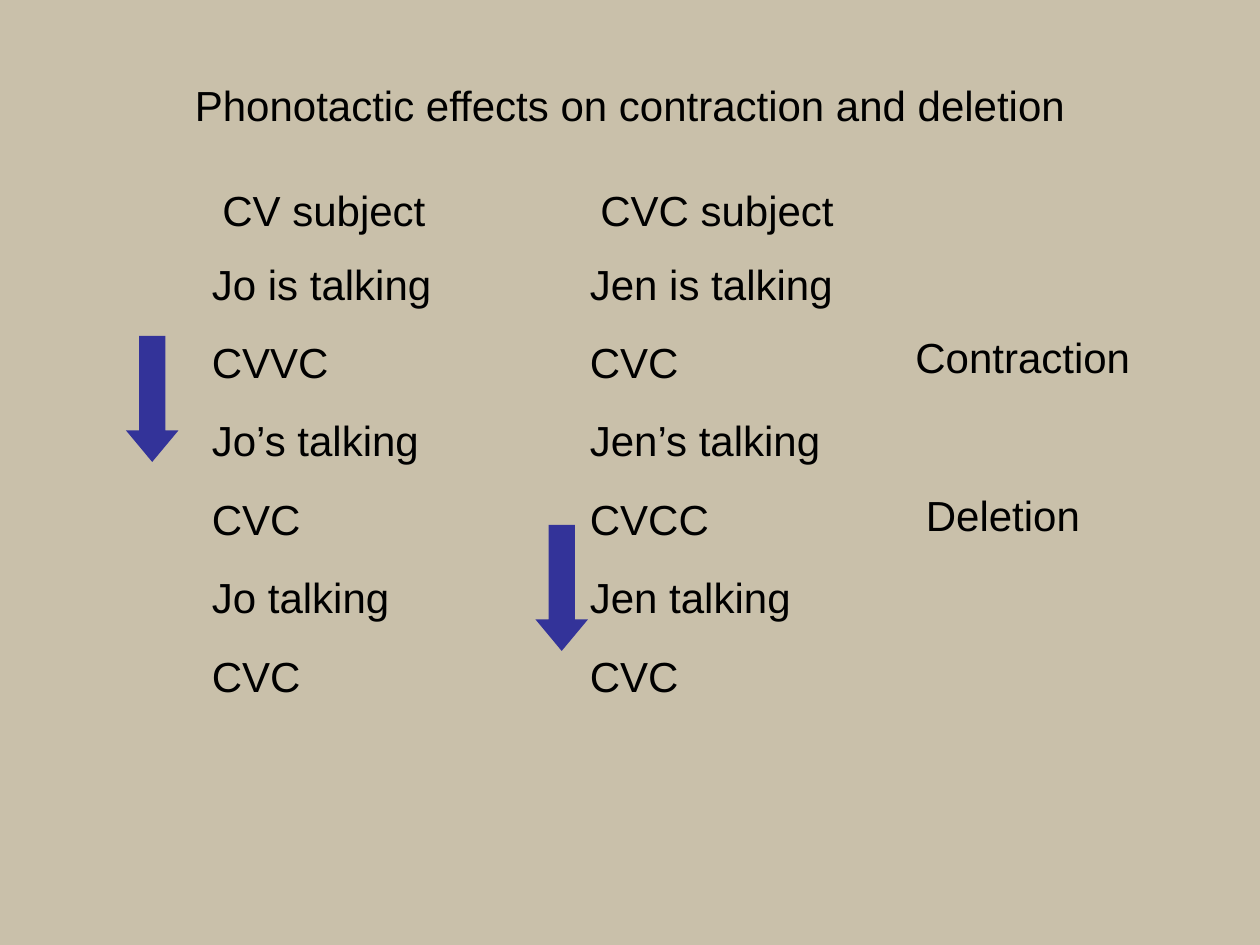
"""Build the slide on phonotactic effects on contraction and deletion."""
from dataclasses import dataclass

from lxml.etree import SubElement
from pptx import Presentation
from pptx.dml.color import RGBColor
from pptx.enum.shapes import MSO_SHAPE
from pptx.enum.text import MSO_ANCHOR, PP_ALIGN
from pptx.oxml.ns import qn
from pptx.slide import Slide
from pptx.text.text import _Paragraph
from pptx.util import Inches, Pt


@dataclass(frozen=True)
class Theme:
    background: RGBColor = RGBColor(0xC9, 0xC0, 0xAA)
    text: RGBColor = RGBColor(0, 0, 0)
    arrow: RGBColor = RGBColor(0x33, 0x33, 0x99)
    font: str = "Arial"
    size: Pt = Pt(24)
    gap: Pt = Pt(16)
    tab: Inches = Inches(3)


@dataclass(frozen=True)
class Box:
    col: int
    row: int
    cols: int
    rows: int

    def place(self) -> tuple[int, int, int, int]:
        return tuple(n * CELL for n in (self.col, self.row, self.cols, self.rows))


@dataclass(frozen=True)
class TextBlock:
    box: Box
    lines: tuple[str, ...]


THEME = Theme()
CELL = Inches(1) // 12
TITLE = TextBlock(Box(9, 4, 102, 12), ("Phonotactic effects on contraction and deletion",))
BLOCKS = (
    TextBlock(Box(20, 17, 78, 6), ("CV subject\tCVC subject",)),
    TextBlock(
        Box(19, 24, 90, 42),
        (
            "Jo is talking\tJen is talking",
            "CVVC\tCVC",
            "Jo’s talking\tJen’s talking",
            "CVC\tCVCC",
            "Jo talking\tJen talking",
            "CVC\tCVC",
        ),
    ),
    TextBlock(Box(86, 31, 31, 6), ("Contraction",)),
    TextBlock(Box(87, 46, 31, 6), ("Deletion",)),
)
ARROWS = (Box(12, 32, 5, 12), Box(51, 50, 5, 12))


def set_font(p: _Paragraph) -> None:
    p.font.name = THEME.font
    p.font.size = THEME.size
    p.font.color.rgb = THEME.text


def add_tab(p: _Paragraph) -> None:
    tabs = SubElement(p._p.get_or_add_pPr(), qn("a:tabLst"))
    SubElement(tabs, qn("a:tab"), pos=str(int(THEME.tab)), algn="l")


def set_title(s: Slide, title: TextBlock) -> None:
    sp = s.shapes.title
    sp.left, sp.top, sp.width, sp.height = title.box.place()
    tf = sp.text_frame
    tf.text = title.lines[0]
    tf.vertical_anchor = MSO_ANCHOR.MIDDLE
    p = tf.paragraphs[0]
    p.alignment = PP_ALIGN.CENTER
    set_font(p)


def add_text(s: Slide, block: TextBlock) -> None:
    tf = s.shapes.add_textbox(*block.box.place()).text_frame
    tf.word_wrap = True
    for i, line in enumerate(block.lines):
        p = tf.add_paragraph() if i else tf.paragraphs[0]
        r = p.add_run()
        r.text = line
        if i:
            p.space_before = THEME.gap
        if "\t" in line:
            add_tab(p)
        set_font(p)


def add_arrow(s: Slide, box: Box) -> None:
    sp = s.shapes.add_shape(MSO_SHAPE.DOWN_ARROW, *box.place())
    sp.adjustments[0] = 0.5
    sp.adjustments[1] = 0.6
    sp.shadow.inherit = False
    sp.fill.solid()
    sp.fill.fore_color.rgb = THEME.arrow
    sp.line.fill.background()


def main() -> None:
    prs = Presentation()
    prs.slide_width, prs.slide_height = 120 * CELL, 90 * CELL
    s = prs.slides.add_slide(prs.slide_layouts[5])
    s.background.fill.solid()
    s.background.fill.fore_color.rgb = THEME.background
    set_title(s, TITLE)
    for block in BLOCKS:
        add_text(s, block)
    for box in ARROWS:
        add_arrow(s, box)
    prs.save("out.pptx")


if __name__ == "__main__":
    main()
